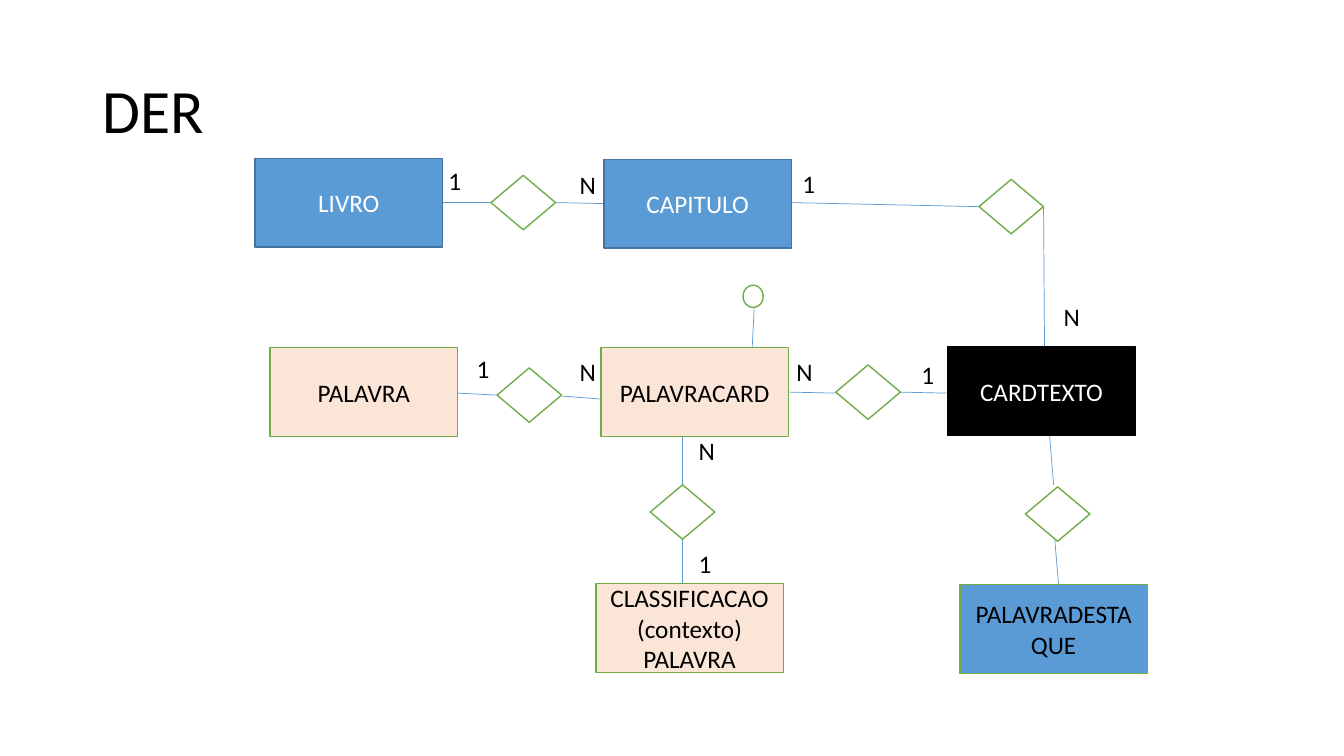
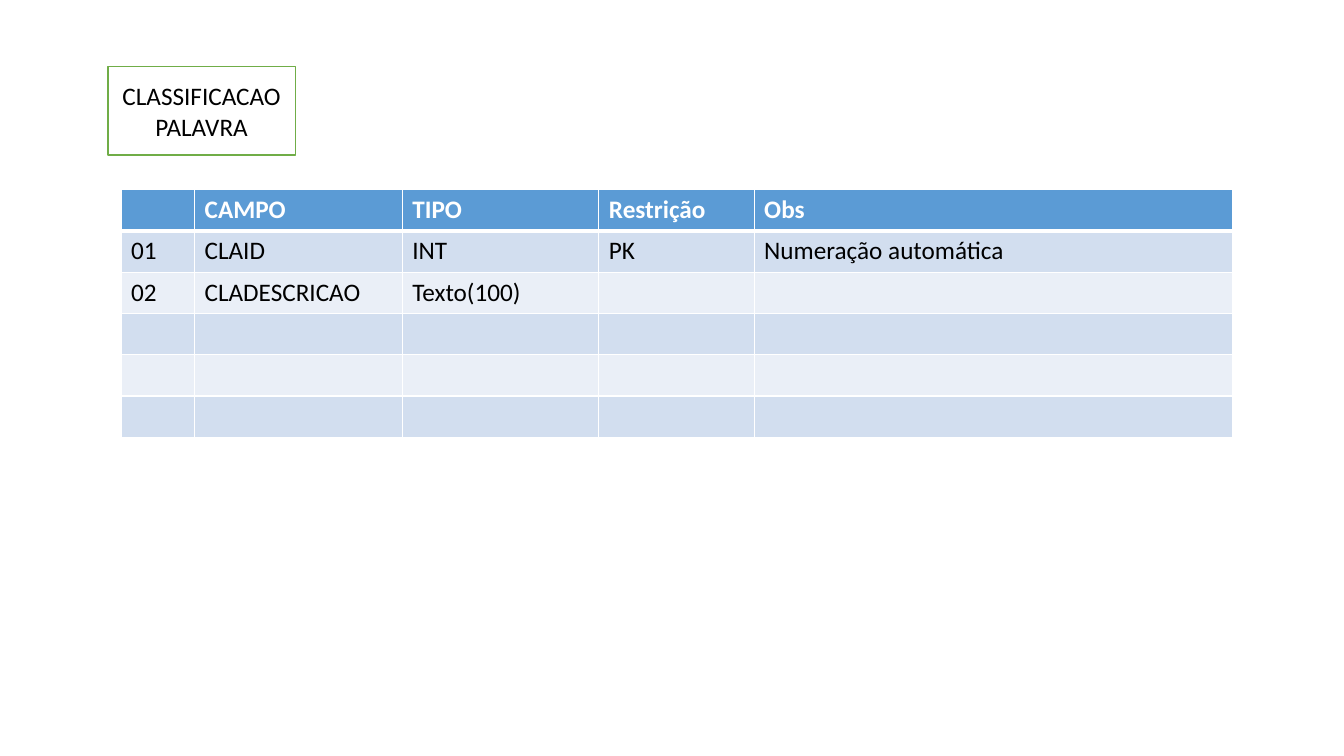
from dataclasses import dataclass

from lxml import etree
from pptx import Presentation
from pptx.dml.color import RGBColor as RGB
from pptx.enum.shapes import MSO_CONNECTOR as CONN, MSO_SHAPE as SHAPE
from pptx.enum.text import MSO_ANCHOR as ANCHOR, PP_ALIGN as ALIGN
from pptx.oxml.ns import qn
from pptx.util import Pt

PX = 9144  # 100 px to the inch


@dataclass(frozen=True)
class Theme:
    font: str = "Calibri"
    title_size: int = 44
    body_size: int = 18
    outline: float = 1
    link: float = 0.5
    header_rule: float = 3
    white: str = "FFFFFF"
    black: str = "000000"
    blue: str = "5B9BD5"
    navy: str = "43739E"
    green: str = "70AD47"
    peach: str = "FBE5D6"
    bands: tuple = ("D2DEEF", "EAEFF7")


T = Theme()

# Entity looks: fill, outline, text
BOOK = (T.blue, T.navy, T.white)
WORD = (T.peach, T.green, T.black)
CARD = (T.black, T.black, T.white)
HIGHLIGHT = (T.blue, T.green, T.black)
PLAIN = (T.white, T.green, T.black)


class Deck:
    ENTITY = (186, 88)
    RELATION = (64, 54)
    ATTRIBUTE = (20, 22)
    LABEL = (36, 40)

    def __init__(self, width, height):
        self.prs = Presentation()
        self.prs.slide_width = width * PX
        self.prs.slide_height = height * PX
        self.s = None

    def new_slide(self):
        self.s = self.prs.slides.add_slide(self.prs.slide_layouts[6])

    def set_text(self, tf, text, color, size=T.body_size, bold=False, align=ALIGN.LEFT):
        tf.text = text
        for p in tf.paragraphs:
            p.alignment = align
            for r in p.runs:
                r.font.name, r.font.size, r.font.bold = T.font, Pt(size), bold
                r.font.color.rgb = RGB.from_string(color)

    def text_box(self, x, y, w, h, text, size=T.body_size):
        sp = self.s.shapes.add_textbox(x * PX, y * PX, w * PX, h * PX)
        tf = sp.text_frame
        tf.word_wrap = True
        self.set_text(tf, text, T.black, size)
        return tf

    def title(self, text):
        tf = self.text_box(92, 40, 1150, 145, text, T.title_size)
        tf.vertical_anchor = ANCHOR.MIDDLE
        tf.paragraphs[0].line_spacing = 0.9

    def label(self, x, y, text):
        self.text_box(x, y, *self.LABEL, text)

    def shape(self, kind, x, y, size, fill, line):
        w, h = size
        sp = self.s.shapes.add_shape(kind, x * PX, y * PX, w * PX, h * PX)
        sp.shadow.inherit = False
        sp.fill.solid()
        sp.fill.fore_color.rgb = RGB.from_string(fill)
        sp.line.color.rgb = RGB.from_string(line)
        sp.line.width = Pt(T.outline)
        return sp

    def entity(self, x, y, text, look):
        fill, line, color = look
        tf = self.shape(SHAPE.RECTANGLE, x, y, self.ENTITY, fill, line).text_frame
        tf.word_wrap = True
        tf.vertical_anchor = ANCHOR.MIDDLE
        self.set_text(tf, text, color, align=ALIGN.CENTER)

    def relation(self, x, y):
        self.shape(SHAPE.DIAMOND, x, y, self.RELATION, T.white, T.green)

    def attribute(self, x, y):
        self.shape(SHAPE.OVAL, x, y, self.ATTRIBUTE, T.white, T.green)

    def link(self, x1, y1, x2, y2):
        ln = self.s.shapes.add_connector(CONN.STRAIGHT, x1 * PX, y1 * PX, x2 * PX, y2 * PX)
        ln.line.color.rgb = RGB.from_string(T.blue)
        ln.line.width = Pt(T.link)
        etree.SubElement(ln._element.spPr, qn("a:effectLst"))

    def border(self, cell, side, width):
        ln = etree.SubElement(cell._tc.get_or_add_tcPr(), qn(f"a:ln{side}"), w=str(Pt(width)))
        fill = etree.SubElement(ln, qn("a:solidFill"))
        etree.SubElement(fill, qn("a:srgbClr"), val=T.white)

    def table(self, x, y, col_widths, row_height, row_count, rows):
        frame = self.s.shapes.add_table(row_count, len(col_widths), x * PX, y * PX,
                                        sum(col_widths) * PX, row_height * row_count * PX)
        tbl = frame.table
        tbl.horz_banding = False
        for col, w in zip(tbl.columns, col_widths):
            col.width = w * PX
        for i, row in enumerate(tbl.rows):
            row.height = row_height * PX
            header = i == 0
            texts = rows[i] if i < len(rows) else ()
            for j, cell in enumerate(row.cells):
                for side in "LRTB":
                    thick = (i, side) in ((0, "B"), (1, "T"))
                    self.border(cell, side, T.header_rule if thick else T.outline)
                cell.fill.solid()
                cell.fill.fore_color.rgb = RGB.from_string(T.blue if header else T.bands[(i - 1) % 2])
                if j < len(texts) and texts[j]:
                    self.set_text(cell.text_frame, texts[j], T.white if header else T.black, bold=header)


def diagram_slide(deck):
    deck.new_slide()
    deck.title("DER")

    # Links go first, so that shapes cover their ends
    for ends in (
        (439, 201, 487, 201), (551, 201, 599, 202), (784, 201, 971, 205),
        (1035, 204, 1036, 344),
        (454, 390, 493, 392), (558, 393, 597, 396),
        (782, 389, 830, 390), (891, 389, 939, 390),
        (677, 433, 677, 481), (677, 532, 677, 580),
        (748, 306, 746, 346),
        (1045, 481, 1041, 432), (1050, 582, 1046, 533),
    ):
        deck.link(*ends)

    # Entities
    for x, y, text, look in (
        (253, 157, "LIVRO", BOOK),
        (599, 158, "CAPITULO", BOOK),
        (268, 345, "PALAVRA", WORD),
        (596, 345, "PALAVRACARD", WORD),
        (940, 344, "CARDTEXTO", CARD),
        (591, 579, "CLASSIFICACAO (contexto) PALAVRA", WORD),
        (952, 580, "PALAVRADESTAQUE", HIGHLIGHT),
    ):
        deck.entity(x, y, text, look)

    # Relations and the attribute
    for x, y in ((487, 174), (971, 178), (493, 365), (829, 362), (645, 481), (1017, 483)):
        deck.relation(x, y)
    deck.attribute(737, 283)

    # Cardinalities
    for x, y, text in (
        (435, 159, "1"), (565, 163, "N"), (786, 162, "1"), (1045, 294, "N"),
        (463, 346, "1"), (565, 349, "N"), (780, 349, "N"), (904, 352, "1"),
        (683, 427, "N"), (683, 539, "1"),
    ):
        deck.label(x, y, text)


def fields_slide(deck):
    deck.new_slide()
    deck.table(120, 188, (73, 206, 195, 154, 475), 41, 6, (
        ("", "CAMPO", "TIPO", "Restrição", "Obs"),
        ("01", "CLAID", "INT", "PK", "Numeração automática"),
        ("02", "CLADESCRICAO", "Texto(100)"),
    ))
    deck.entity(107, 66, "CLASSIFICACAO\vPALAVRA", PLAIN)


def main():
    deck = Deck(1333, 750)
    diagram_slide(deck)
    fields_slide(deck)
    deck.prs.save("out.pptx")


if __name__ == "__main__":
    main()
